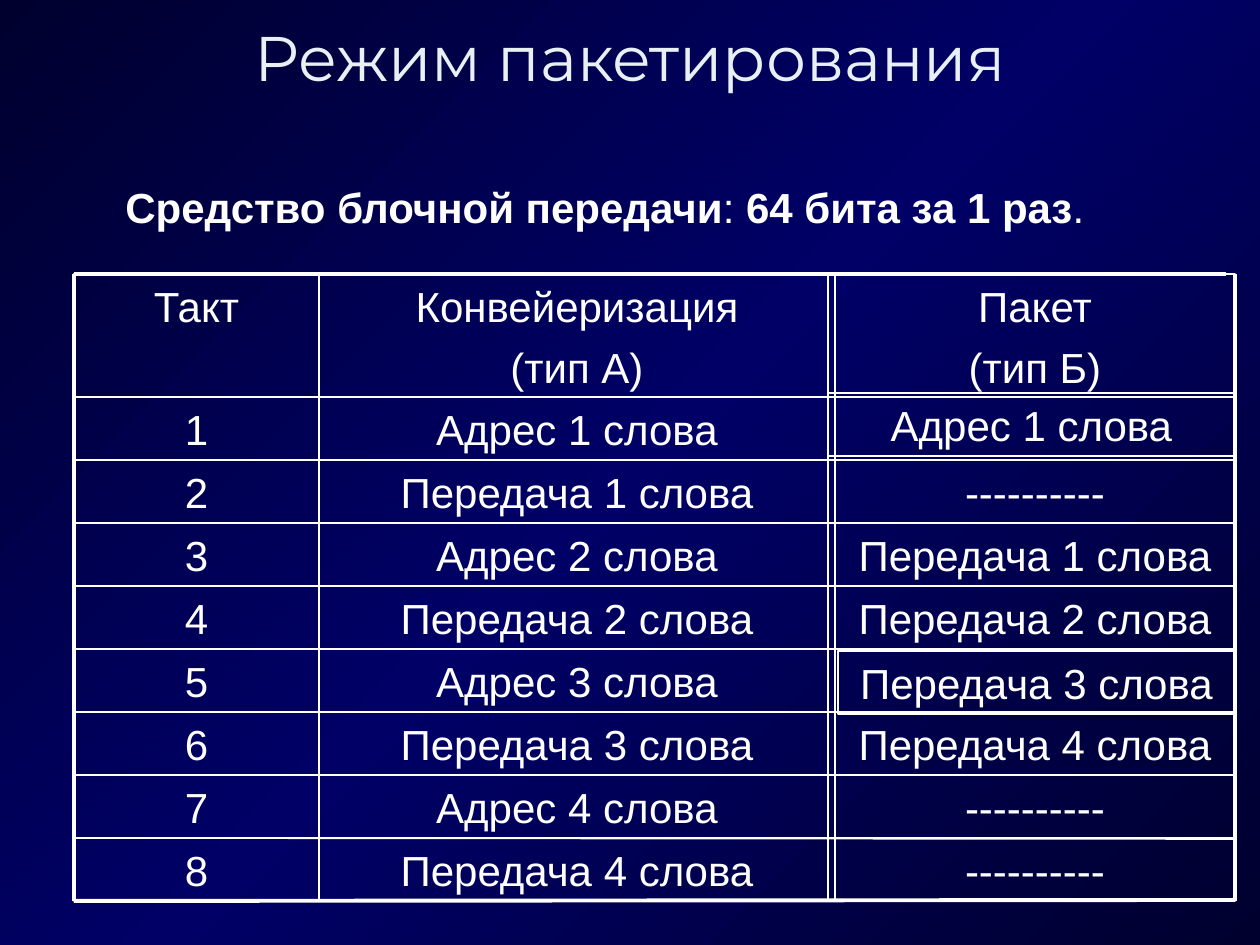
"""Builds a slide comparing pipelined and burst bus cycles."""
from copy import deepcopy

from lxml import etree
from pptx import Presentation
from pptx.dml.color import RGBColor
from pptx.enum.shapes import MSO_CONNECTOR, MSO_SHAPE
from pptx.enum.text import MSO_ANCHOR, MSO_AUTO_SIZE, PP_ALIGN
from pptx.oxml.ns import qn
from pptx.util import Pt

RECT, LINE = MSO_SHAPE.RECTANGLE, MSO_CONNECTOR.STRAIGHT
TOP, MIDDLE = MSO_ANCHOR.TOP, MSO_ANCHOR.MIDDLE
LEFT, CENTER = PP_ALIGN.LEFT, PP_ALIGN.CENTER
GROW = MSO_AUTO_SIZE.SHAPE_TO_FIT_TEXT

TITLE = "Режим пакетирования"
LEAD = [("Средство блочной передачи", True), (": ", False),
        ("64 бита за 1 раз", True), (".", False)]
DASH = "----------"
ROWS = [
    ("Такт", "Конвейеризация\n(тип А)", "Пакет\n(тип Б)"),
    ("1", "Адрес 1 слова", "Адрес 1 слова"),
    ("2", "Передача 1 слова", DASH),
    ("3", "Адрес 2 слова", "Передача 1 слова"),
    ("4", "Передача 2 слова", "Передача 2 слова"),
    ("5", "Адрес 3 слова", "Передача 3 слова"),
    ("6", "Передача 3 слова", "Передача 4 слова"),
    ("7", "Адрес 4 слова", DASH),
    ("8", "Передача 4 слова", DASH),
]

EMU = 914400 // 126
EDGES = (74, 319, 835, 1235)
HEAD, BODY, STEP = 274, 397, 63
YS = [HEAD] + [BODY + STEP * i for i in range(len(ROWS))]
SHIFTS = {(1, 2): (-7, -4), (5, 2): (3, 2)}
THEME = {
    "white": RGBColor.from_string("FFFFFF"),
    "title": RGBColor.from_string("E8F0F4"),
    "stops": [(0, "00002F"), (0.5, "000066"), (1, "00002F")],
    "head": ("Montserrat", 36),
    "text": ("Arial", 24),
    "cell": 0.75, "thin": 1, "thick": 2.25,
}


def px(*nums):
    return [round(n * EMU) for n in nums]


def assign(obj, **vals):
    for key, val in vals.items():
        setattr(obj, key, val)


def style(font, kind, color, bold=False):
    name, size = THEME[kind]
    assign(font, name=name, size=Pt(size), bold=bold)
    font.color.rgb = color


def paint(slide):
    fill = slide.background.fill
    fill.gradient()
    fill.gradient_angle = 315
    stops = slide.element.xpath(".//a:gsLst")[0]
    stops.append(deepcopy(stops[0]))
    for stop, (pos, color) in zip(fill.gradient_stops, THEME["stops"]):
        stop.position = pos
        stop.color.rgb = RGBColor.from_string(color)


def add_cell(slide, text, left, top, right, base):
    cell = slide.shapes.add_shape(RECT, *px(left, top, right - left, base - top))
    cell.shadow.inherit = False
    cell.fill.background()
    cell.line.color.rgb = THEME["white"]
    cell.line.width = Pt(THEME["cell"])
    frame = cell.text_frame
    assign(frame, word_wrap=True, vertical_anchor=TOP, text=text)
    for i, para in enumerate(frame.paragraphs):
        assign(para, alignment=CENTER, space_before=Pt(6 if i else 0))
        style(para.font, "text", THEME["white"])


def add_rule(slide, ends, kind):
    rule = slide.shapes.add_connector(LINE, *px(*ends))
    rule.line.color.rgb = THEME["white"]
    rule.line.width = Pt(THEME[kind])
    etree.SubElement(rule.element.spPr, qn("a:effectLst"))


def add_title(slide):
    frame = slide.shapes.add_textbox(*px(0, 0, 1260, 125)).text_frame
    assign(frame, word_wrap=True, vertical_anchor=MIDDLE, text=TITLE)
    para = frame.paragraphs[0]
    assign(para, alignment=CENTER, line_spacing=0.85)
    style(para.font, "head", THEME["title"])


def add_lead(slide):
    frame = slide.shapes.add_textbox(*px(113, 175, 989, 63)).text_frame
    assign(frame, word_wrap=False, auto_size=GROW)
    para = frame.paragraphs[0]
    para.alignment = LEFT
    for text, bold in LEAD:
        run = para.add_run()
        run.text = text
        style(run.font, "text", THEME["white"], bold)


def add_grid(slide):
    for r, row in enumerate(ROWS):
        for c, text in enumerate(row):
            dx, dy = SHIFTS.get((r, c), (0, 0))
            add_cell(slide, text, EDGES[c] + dx, YS[r] + dy,
                     EDGES[c + 1], YS[r + 1] + dy)


def add_rules(slide):
    left, split, _, right = EDGES
    base = YS[-1]
    add_rule(slide, (left, HEAD, 1226, HEAD), "thick")
    for y in YS[1:-2]:
        add_rule(slide, (left, y, 1216, y), "thin")
    add_rule(slide, (left, YS[-2], right, YS[-2] + 1), "thin")
    add_rule(slide, (left, base, right, base - 1), "thick")
    for x, kind in ((left, "thick"), (split, "thin"), (828, "thin"), (right, "thick")):
        add_rule(slide, (x, HEAD, x, base), kind)


def main():
    deck = Presentation()
    deck.slide_width, deck.slide_height = px(1260, 945)
    slide = deck.slides.add_slide(deck.slide_layouts[6])
    paint(slide)
    add_title(slide)
    add_lead(slide)
    add_grid(slide)
    add_rules(slide)
    deck.save("out.pptx")


if __name__ == "__main__":
    main()
